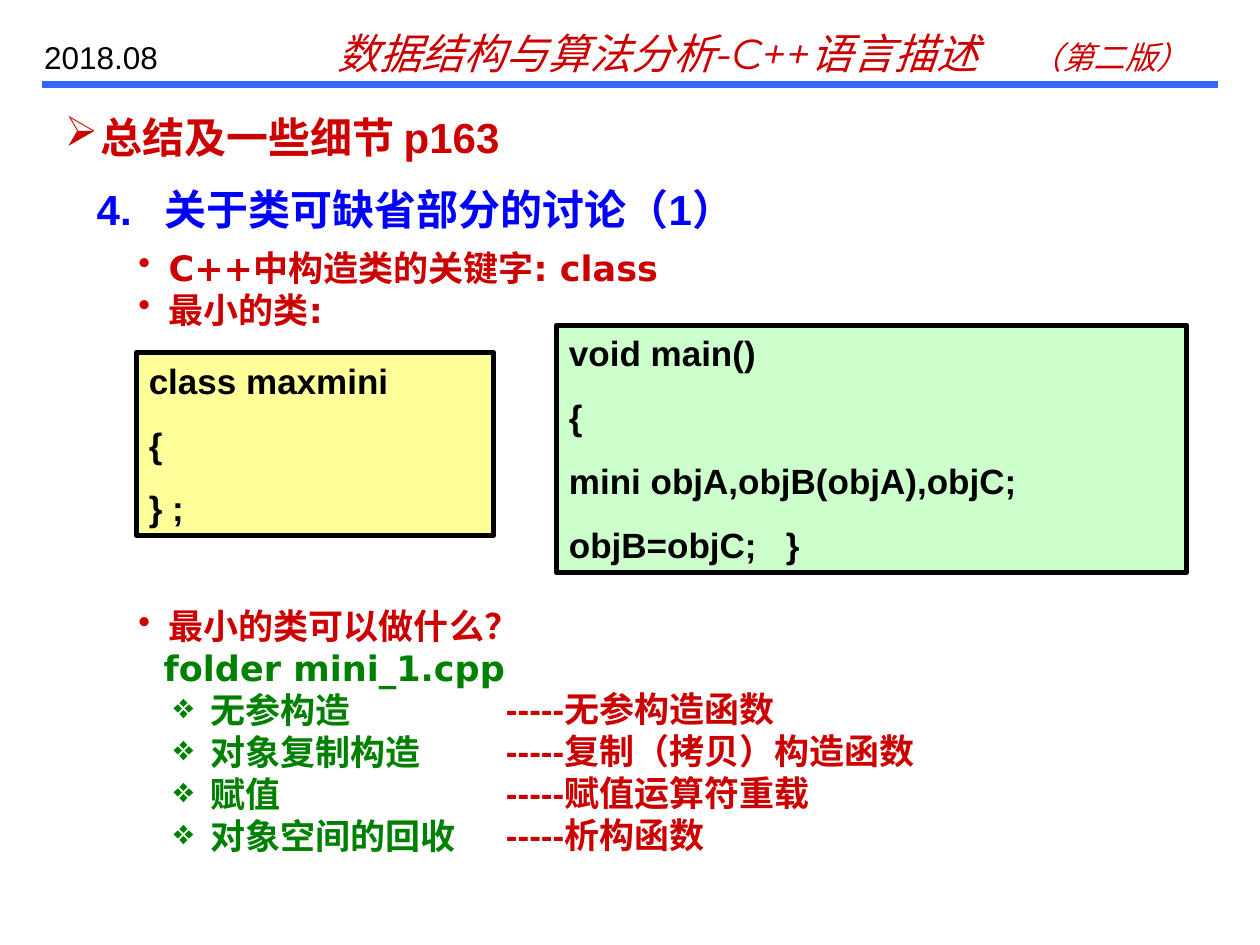
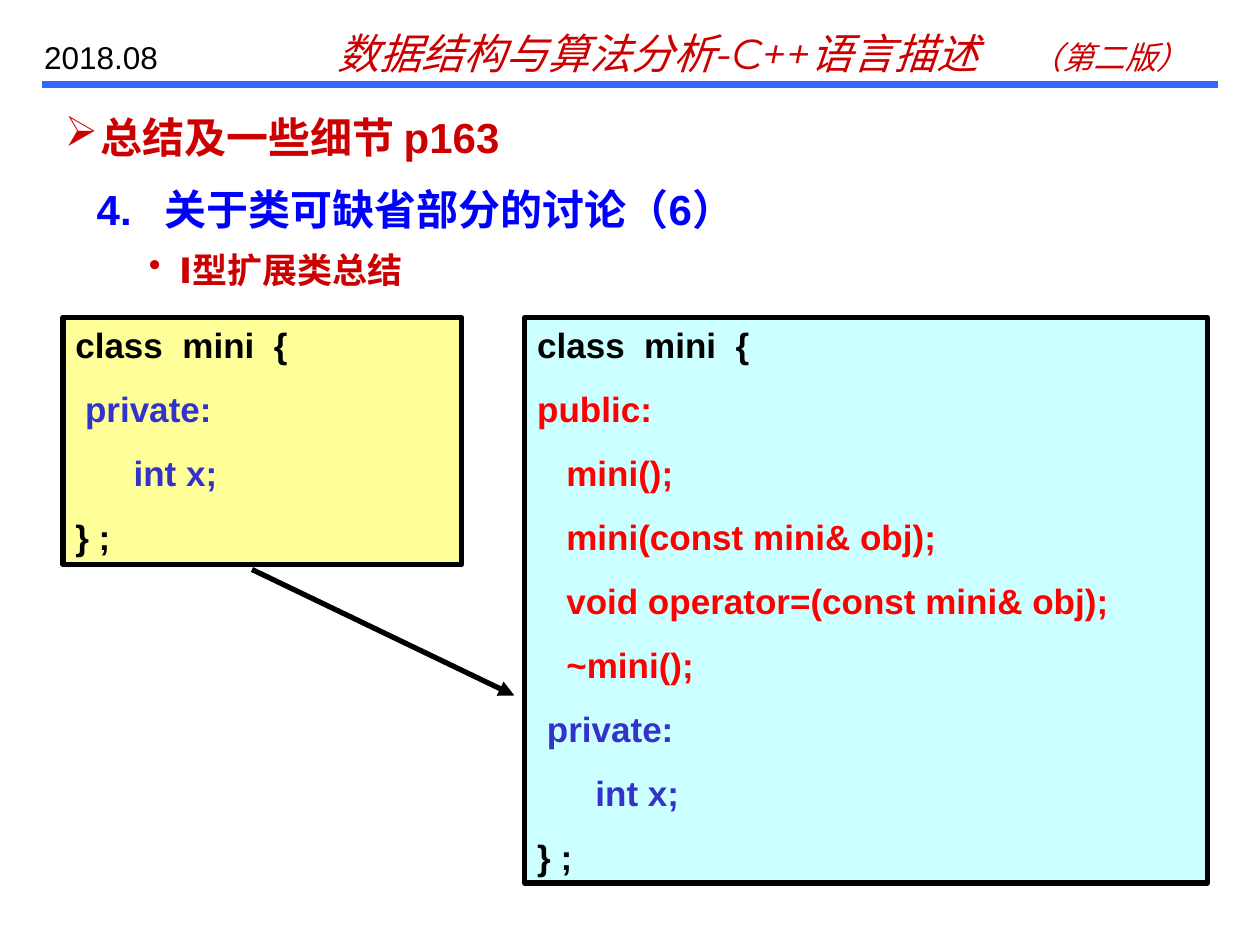
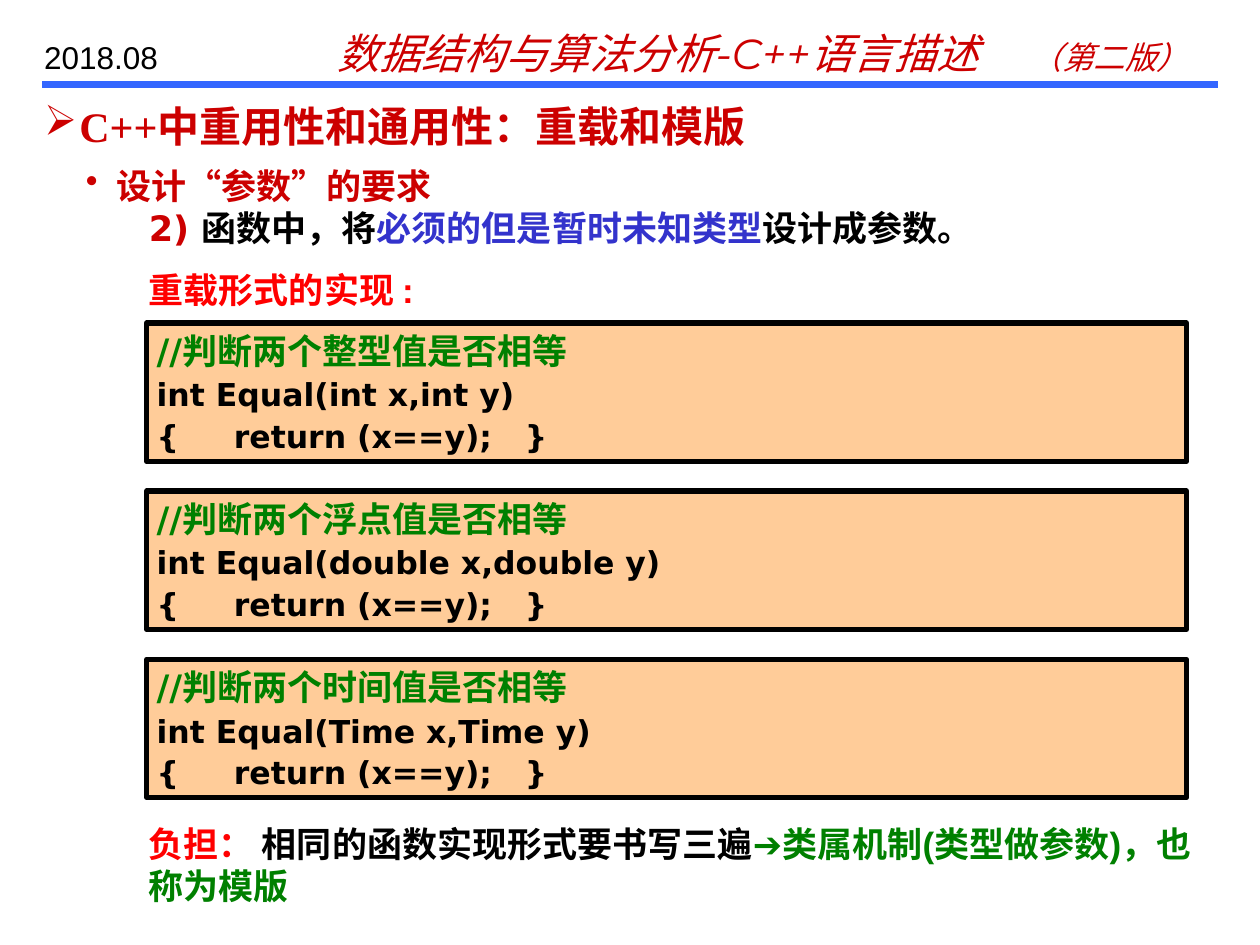
from dataclasses import dataclass
from lxml import etree
from pptx import Presentation
from pptx.dml.color import RGBColor
from pptx.enum import lang, shapes, text
from pptx.oxml import ns
from pptx.util import Cm, Pt


@dataclass(frozen=True)
class Theme:
    red: str = "CC0000"
    hot: str = "FF0000"
    blue: str = "0000FF"
    navy: str = "3333CC"
    green: str = "008000"
    black: str = "000000"
    rule: str = "3366FF"
    yellow: str = "FFFF99"
    mint: str = "CCFFCC"
    cyan: str = "CCFFFF"
    peach: str = "FFCC99"
    big: int = 24
    mid: int = 20
    small: int = 18
    sans: str = "Arial"
    wide: str = "DejaVu Sans"
    head: str = "Montserrat"
    serif: str = "Times New Roman"


T = Theme()
DOT = dict(mark="•", left=0.61, hang=0.61)
ARROW = dict(mark="➢", left=0.71, hang=0.71)
GEM = dict(mark="❖", left=1.45, hang=0.74)


def child(parent, tag, **attrs):
    return etree.SubElement(parent, ns.qn(tag), **attrs)


def layout(para, size, color, mark=None, left=0, hang=0, tab=None, gap=0):
    props = para._p.get_or_add_pPr()
    props.set("marL", str(Cm(left)))
    props.set("indent", str(-Cm(hang)))
    if mark:
        child(child(props, "a:buClr"), "a:srgbClr", val=color)
        child(props, "a:buChar", char=mark)
    else:
        child(props, "a:buNone")
    if tab:
        child(child(props, "a:tabLst"), "a:tab", pos=str(Cm(tab)), algn="l")
    para.alignment = text.PP_ALIGN.LEFT
    para.line_spacing = Pt(round(size * 1.2, 1))
    para.space_before = Pt(gap)


def write(frame, lines, size=T.mid, font=T.sans, color=T.black, bold=True,
          italic=False, pad=0.25, **form):
    frame.word_wrap = True
    frame.auto_size = text.MSO_AUTO_SIZE.NONE
    frame.vertical_anchor = text.MSO_ANCHOR.TOP
    frame.margin_left = frame.margin_right = Cm(pad)
    frame.margin_top = frame.margin_bottom = Cm(0.13)
    for i, line in enumerate(lines):
        runs, extra = line if isinstance(line, tuple) else (line, {})
        para = frame.add_paragraph() if i else frame.paragraphs[0]
        look = dict(size=size, color=color) | form | extra
        if not i:
            look["gap"] = 0
        layout(para, **look)
        for part in [runs] if isinstance(runs, str) else runs:
            words, own = part if isinstance(part, tuple) else (part, {})
            run = para.add_run()
            run.text = words
            face = run.font
            face.name, face.bold, face.italic = font, bold, italic
            face.size = Pt(own.get("size", look["size"]))
            face.color.rgb = RGBColor.from_string(own.get("color", look["color"]))
            face.language_id = lang.MSO_LANGUAGE_ID.SIMPLIFIED_CHINESE


class Deck:
    def __init__(self):
        self.prs = Presentation()
        self.prs.slide_width, self.prs.slide_height = Cm(25.4), Cm(19.05)
        self.slide = None

    def page(self, title, box=(1.06, 2.12, 23.7, 1.27), font=T.sans):
        self.slide = self.prs.slides.add_slide(self.prs.slide_layouts[5])
        self.line((0.85, 1.7), (24.55, 1.7), T.rule, 4)
        self.label((6.56, 0.42, 17.78, 1.27),
                   [["数据结构与算法分析-C++语言描述\t", ("（第二版）", dict(size=T.small))]],
                   size=T.big, font=T.head, color=T.red, bold=False, italic=True, tab=13.72)
        self.label((0.64, 0.64, 3.6, 1.02), ["2018.08"], size=T.small, bold=False)
        head = self.slide.shapes.title
        head.left, head.top, head.width, head.height = map(Cm, box)
        write(head.text_frame, [title], size=T.big, font=font, color=T.red, **ARROW)

    def line(self, start, end, color, width, tip=False):
        link = self.slide.shapes.add_connector(
            shapes.MSO_CONNECTOR.STRAIGHT, *map(Cm, start + end))
        link.line.color.rgb = RGBColor.from_string(color)
        link.line.width = Pt(width)
        if tip:
            child(link.line._get_or_add_ln(), "a:tailEnd", type="triangle")
        child(link._element.spPr, "a:effectLst")

    def label(self, box, lines, **form):
        item = self.slide.shapes.add_textbox(*map(Cm, box))
        write(item.text_frame, lines, **form)

    def topic(self, words):
        self.label((1.7, 3.56, 23.28, 1.27), ["4.\t" + words],
                   size=T.big, color=T.blue, left=1.37, hang=1.37)

    def points(self, box, lines):
        self.label(box, lines, font=T.wide, color=T.red, **DOT)

    def code(self, box, fill, lines, **form):
        item = self.slide.shapes.add_shape(shapes.MSO_SHAPE.RECTANGLE, *map(Cm, box))
        item.shadow.inherit = False
        item.fill.solid()
        item.fill.fore_color.rgb = RGBColor.from_string(fill)
        item.line.color.rgb = RGBColor.from_string(T.black)
        item.line.width = Pt(3)
        write(item.text_frame, lines, **(dict(gap=12.5) | form))


def smallest(deck):
    deck.page("总结及一些细节 p163")
    deck.topic("关于类可缺省部分的讨论（1）")
    deck.points((2.54, 4.83, 22.6, 1.96), ["C++中构造类的关键字: class", "最小的类:"])
    deck.code((2.75, 7.11, 7.2, 3.68), T.yellow, ["class maxmini", "{", "} ;"])
    gem = GEM | dict(color=T.green)
    jobs = ["无参构造", "对象复制构造", "赋值", "对象空间的回收"]
    folder = ("folder mini_1.cpp", dict(color=T.green, mark=None, left=0.51, hang=0))
    deck.points((2.54, 12.06, 11.64, 5.33),
                ["最小的类可以做什么？", folder] + [(job, gem) for job in jobs])
    names = ["无参构造函数", "复制（拷贝）构造函数", "赋值运算符重载", "析构函数"]
    deck.label((9.95, 13.72, 10.58, 3.66), ["-----" + name for name in names], color=T.red)
    deck.code((11.22, 6.56, 12.7, 4.98), T.mint,
              ["void main()", "{", "mini objA,objB(objA),objC;", "objB=objC;   }"])


def extended(deck):
    deck.page("总结及一些细节 p163")
    deck.topic("关于类可缺省部分的讨论（6）")
    deck.points((2.75, 4.87, 22.5, 1.12), ["I型扩展类总结"])
    start = ["class  mini  {"]
    close = [(row, dict(color=T.navy)) for row in (" private:", "      int x;")] + ["} ;"]
    public = ["public:", "   mini();", "   mini(const mini& obj);",
              "   void operator=(const mini& obj);", "   ~mini();"]
    deck.code((1.27, 6.4, 8.04, 4.98), T.yellow, start + close)
    deck.code((10.58, 6.4, 13.76, 11.4), T.cyan,
              start + [(row, dict(color=T.hot)) for row in public] + close)
    deck.line((5.08, 11.48), (10.37, 14.02), T.black, 3, tip=True)


def overload(deck):
    deck.page("C++中重用性和通用性：重载和模版", (0.64, 1.9, 23.06, 1.27), T.serif)
    black, navy, green = (dict(color=c) for c in (T.black, T.navy, T.green))
    rule = ["2) ", ("函数中，将", black), ("必须的但是暂时未知类型", navy), ("设计成参数。", black)]
    deck.points((1.48, 3.18, 23.4, 1.96),
                ["设计“参数”的要求", (rule, dict(mark=None, left=1.27, hang=0))])
    deck.label((2.75, 5.28, 21.4, 1.12), ["重载形式的实现 :"], color=T.hot)
    kinds = [("整型", "int"), ("浮点", "double"), ("时间", "Time")]
    for i, (name, kind) in enumerate(kinds):
        note = (f"//判断两个{name}值是否相等", dict(size=T.mid, color=T.green))
        deck.code((2.96, 6.51 + i * 3.39, 20.96, 2.79), T.peach,
                  [note, f"int Equal({kind} x,{kind} y)", "{     return (x==y);   }"],
                  size=T.small, font=T.wide, gap=2.2, pad=0.2)
    deck.label((2.75, 16.46, 21.8, 1.96),
               [["负担：", (" 相同的函数实现形式要书写三遍", black),
                 ("➔类属机制(类型做参数)，也称为模版", green)]], color=T.hot)


def main():
    deck = Deck()
    for build in (smallest, extended, overload):
        build(deck)
    deck.prs.save("out.pptx")


if __name__ == "__main__":
    main()
